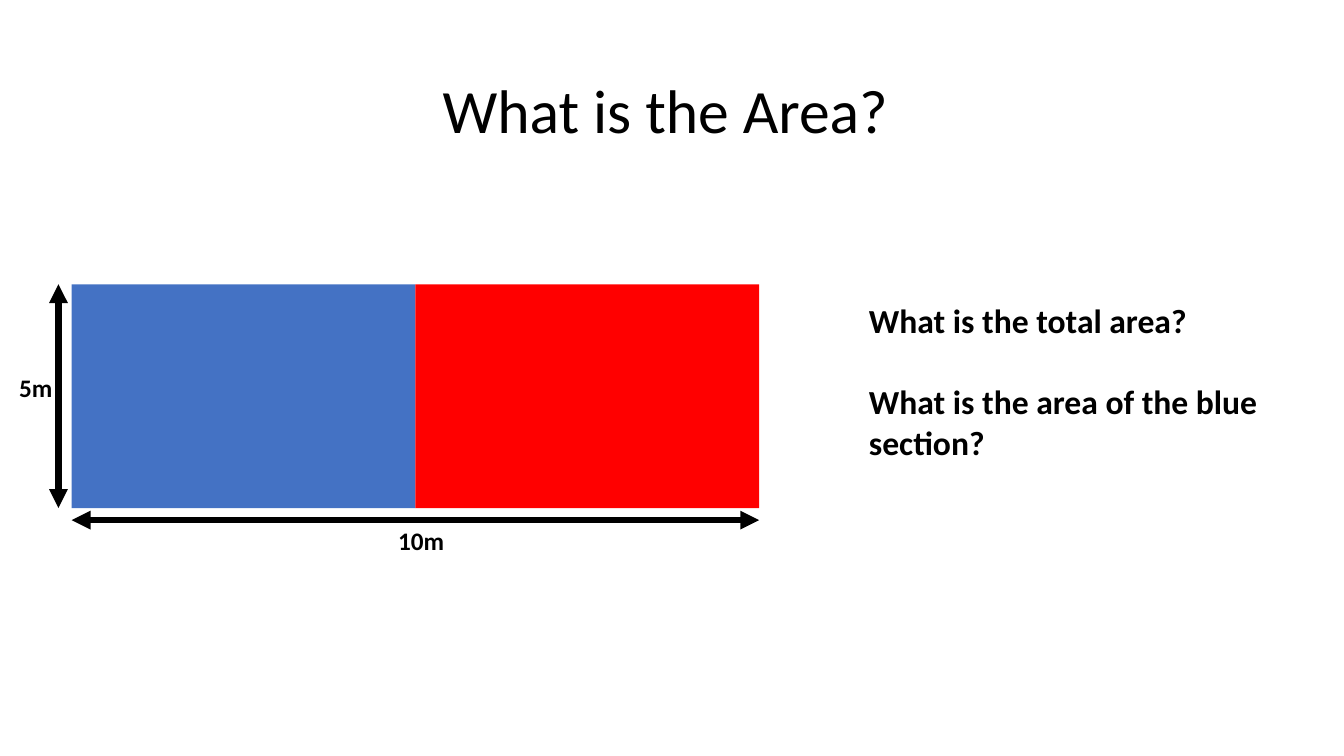
from lxml import etree
from pptx import Presentation
from pptx.dml.color import RGBColor
from pptx.enum import shapes, text
from pptx.oxml import ns
from pptx.util import Inches, Pt

BLACK = "000000"
BLUE = "4472C4"
RED = "FF0000"


def color(hex_string):
    return RGBColor.from_string(hex_string)


def add_text(slide, left, top, width, height, lines, size, bold=True, gap=0):
    """Add a text box with one paragraph per line and gap points between them."""
    box = slide.shapes.add_textbox(Inches(left), Inches(top), Inches(width), Inches(height))
    frame = box.text_frame
    frame.word_wrap = True
    frame.text = "\n".join(lines)
    for index, paragraph in enumerate(frame.paragraphs):
        if index and gap:
            paragraph.space_before = Pt(gap)
        for run in paragraph.runs:
            run.font.name = "Calibri"
            run.font.size = Pt(size)
            run.font.bold = bold
            run.font.color.rgb = color(BLACK)
    return frame


def add_title(slide, left, top, width, height):
    frame = add_text(slide, left, top, width, height, ["What is the Area? "], 44, bold=False)
    frame.vertical_anchor = text.MSO_ANCHOR.MIDDLE
    frame.paragraphs[0].alignment = text.PP_ALIGN.CENTER
    frame.paragraphs[0].line_spacing = 0.9


def add_section(slide, left, top, width, height, fill):
    section = slide.shapes.add_shape(
        shapes.MSO_SHAPE.RECTANGLE, Inches(left), Inches(top), Inches(width), Inches(height))
    section.shadow.inherit = False
    section.fill.solid()
    section.fill.fore_color.rgb = color(fill)
    section.line.fill.background()


def add_dimension_arrow(slide, x1, y1, x2, y2):
    arrow = slide.shapes.add_connector(
        shapes.MSO_CONNECTOR.STRAIGHT, Inches(x1), Inches(y1), Inches(x2), Inches(y2))
    arrow.line.color.rgb = color(BLACK)
    arrow.line.width = Pt(4.5)
    line = arrow.line._get_or_add_ln()
    for end in ("a:headEnd", "a:tailEnd"):
        etree.SubElement(line, ns.qn(end), type="triangle")
    etree.SubElement(arrow._element.spPr, ns.qn("a:effectLst"))


def add_area_diagram(slide, left, top, width, height):
    """Draw the halved rectangle with its dimension arrows and labels."""
    half = width / 2
    for index, fill in enumerate((BLUE, RED)):
        add_section(slide, left + index * half, top, half, height, fill)
    right, bottom = left + width, top + height
    add_dimension_arrow(slide, left - 0.13, top, left - 0.13, bottom)
    add_dimension_arrow(slide, left, bottom + 0.12, right, bottom + 0.12)
    add_text(slide, left - 0.62, top + 0.82, 1.25, 0.4, ["5m"], 18)
    add_text(slide, left + 3.14, bottom + 0.12, 1.25, 0.4, ["10m"], 18)


def add_questions(slide, left, top, width, height):
    questions = ["What is the total area?", "What is the area of the blue section?"]
    add_text(slide, left, top, width, height, questions, 24, gap=29)


def main():
    presentation = Presentation()
    presentation.slide_width = Inches(13.33)
    presentation.slide_height = Inches(7.5)
    slide = presentation.slides.add_slide(presentation.slide_layouts[6])
    add_title(slide, 0.92, 0.4, 11.5, 1.45)
    add_area_diagram(slide, 0.71, 2.82, 6.82, 2.22)
    add_questions(slide, 8.52, 2.93, 4.1, 1.72)
    presentation.save("out.pptx")


if __name__ == "__main__":
    main()
